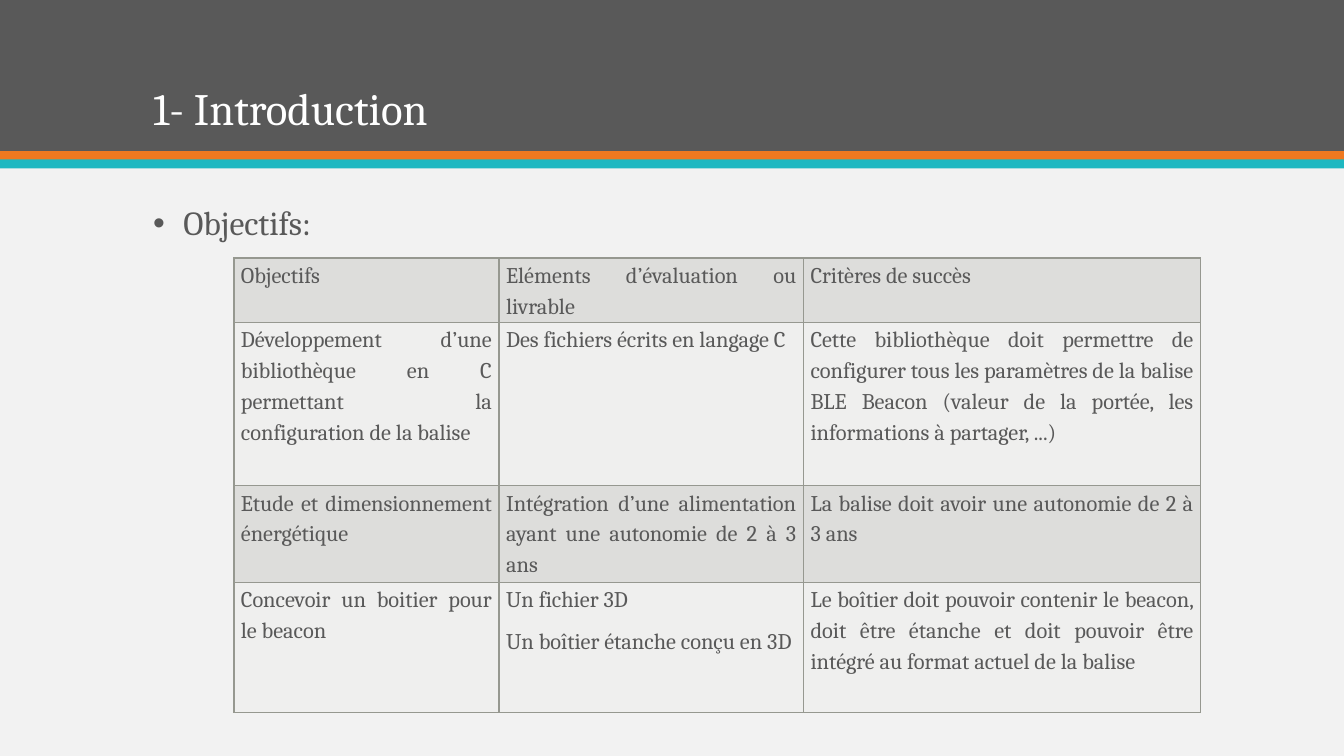
from dataclasses import dataclass

from lxml import etree
from pptx import Presentation
from pptx.dml.color import RGBColor
from pptx.enum import shapes, text
from pptx.oxml import ns
from pptx.util import Inches, Pt

FONT = "Cambria"
GREY = "595959"
WIDTH = 13.33


@dataclass
class Band:
    top: float
    height: float
    color: str


@dataclass
class TextBlock:
    text: str
    top: float
    height: float
    size: int
    color: str
    anchor: text.MSO_ANCHOR
    bullet: bool = False


BANDS = [Band(0, 1.5, GREY), Band(1.5, 0.09, "EF7920"), Band(1.58, 0.09, "1EB8C1")]
BLOCKS = [
    TextBlock("1- Introduction", 0.26, 1.13, 32, "FFFFFF", text.MSO_ANCHOR.BOTTOM),
    TextBlock("Objectifs:", 2, 0.5, 24, GREY, text.MSO_ANCHOR.TOP, bullet=True),
]

COL_WIDTHS = [2.63, 3.02, 3.94]
ROW_HEIGHTS = [0.63, 1.62, 0.96, 1.29]
ROW_FILLS = ["DDDDDB", "EFEFEE"]
OBJECTIVES = [
    ["Objectifs", "Eléments d’évaluation ou livrable", "Critères de succès"],
    [
        "Développement d’une bibliothèque en C permettant la configuration de la balise",
        "Des fichiers écrits en langage C",
        "Cette bibliothèque doit permettre de configurer tous les paramètres de la balise "
        "BLE Beacon (valeur de la portée, les informations à partager, ...)",
    ],
    [
        "Etude et dimensionnement énergétique",
        "Intégration d’une alimentation ayant une autonomie de 2 à 3 ans",
        "La balise doit avoir une autonomie de 2 à 3 ans",
    ],
    [
        "Concevoir un boitier pour le beacon",
        "Un fichier 3D\nUn boîtier étanche conçu en 3D",
        "Le boîtier doit pouvoir contenir le beacon, doit être étanche et doit pouvoir être "
        "intégré au format actuel de la balise",
    ],
]


def rgb(color: str) -> RGBColor:
    return RGBColor.from_string(color)


def set_font(p, size: int, color: str) -> None:
    for r in p.runs:
        r.font.name = FONT
        r.font.size = Pt(size)
        r.font.color.rgb = rgb(color)


def add_bullet(p) -> None:
    pPr = p._p.get_or_add_pPr()
    pPr.set("marL", str(Inches(0.3)))
    pPr.set("indent", str(Inches(-0.3)))
    etree.SubElement(pPr, ns.qn("a:buFont")).set("typeface", "Arial")
    etree.SubElement(pPr, ns.qn("a:buChar")).set("char", "•")


def add_band(s, band: Band) -> None:
    sp = s.shapes.add_shape(shapes.MSO_SHAPE.RECTANGLE, 0, Inches(band.top),
                            Inches(WIDTH), Inches(band.height))
    sp.shadow.inherit = False
    sp.fill.solid()
    sp.fill.fore_color.rgb = rgb(band.color)
    sp.line.fill.background()


def add_text(s, block: TextBlock) -> None:
    sp = s.shapes.add_textbox(Inches(1.42), Inches(block.top), Inches(10.5), Inches(block.height))
    tf = sp.text_frame
    tf.word_wrap = True
    tf.vertical_anchor = block.anchor
    tf.text = block.text
    p = tf.paragraphs[0]
    if block.bullet:
        add_bullet(p)
    p.line_spacing = 0.9
    set_font(p, block.size, block.color)


def add_borders(cell, color: str) -> None:
    """Draw the four cell edges; must run before the cell fill is set."""
    tcPr = cell._tc.get_or_add_tcPr()
    for edge in ("lnL", "lnR", "lnT", "lnB"):
        ln = etree.SubElement(tcPr, ns.qn(f"a:{edge}"), w=str(Pt(1)))
        fill = etree.SubElement(ln, ns.qn("a:solidFill"))
        etree.SubElement(fill, ns.qn("a:srgbClr"), val=color)


def fill_cell(cell, content: str, color: str) -> None:
    add_borders(cell, "969890")
    cell.fill.solid()
    cell.fill.fore_color.rgb = rgb(color)
    cell.margin_left = cell.margin_right = Inches(0.07)
    cell.margin_top = cell.margin_bottom = 0
    cell.text_frame.text = content
    for p in cell.text_frame.paragraphs:
        p.alignment = text.PP_ALIGN.JUSTIFY
        p.line_spacing = 1.2
        p.space_after = Pt(8)
        set_font(p, 16, GREY)


def add_objectives(s) -> None:
    table = s.shapes.add_table(len(ROW_HEIGHTS), len(COL_WIDTHS), Inches(2.32), Inches(2.56),
                               Inches(sum(COL_WIDTHS)), Inches(sum(ROW_HEIGHTS))).table
    table.first_row = table.horz_banding = False
    for column, width in zip(table.columns, COL_WIDTHS):
        column.width = Inches(width)
    for i, (row, height) in enumerate(zip(table.rows, ROW_HEIGHTS)):
        row.height = Inches(height)
        for cell, content in zip(row.cells, OBJECTIVES[i]):
            fill_cell(cell, content, ROW_FILLS[i % 2])


def main() -> None:
    prs = Presentation()
    prs.slide_width, prs.slide_height = Inches(WIDTH), Inches(7.5)
    s = prs.slides.add_slide(prs.slide_layouts[6])
    s.background.fill.solid()
    s.background.fill.fore_color.rgb = rgb("F2F2F2")
    for band in BANDS:
        add_band(s, band)
    for block in BLOCKS:
        add_text(s, block)
    add_objectives(s)
    prs.save("out.pptx")


if __name__ == "__main__":
    main()
